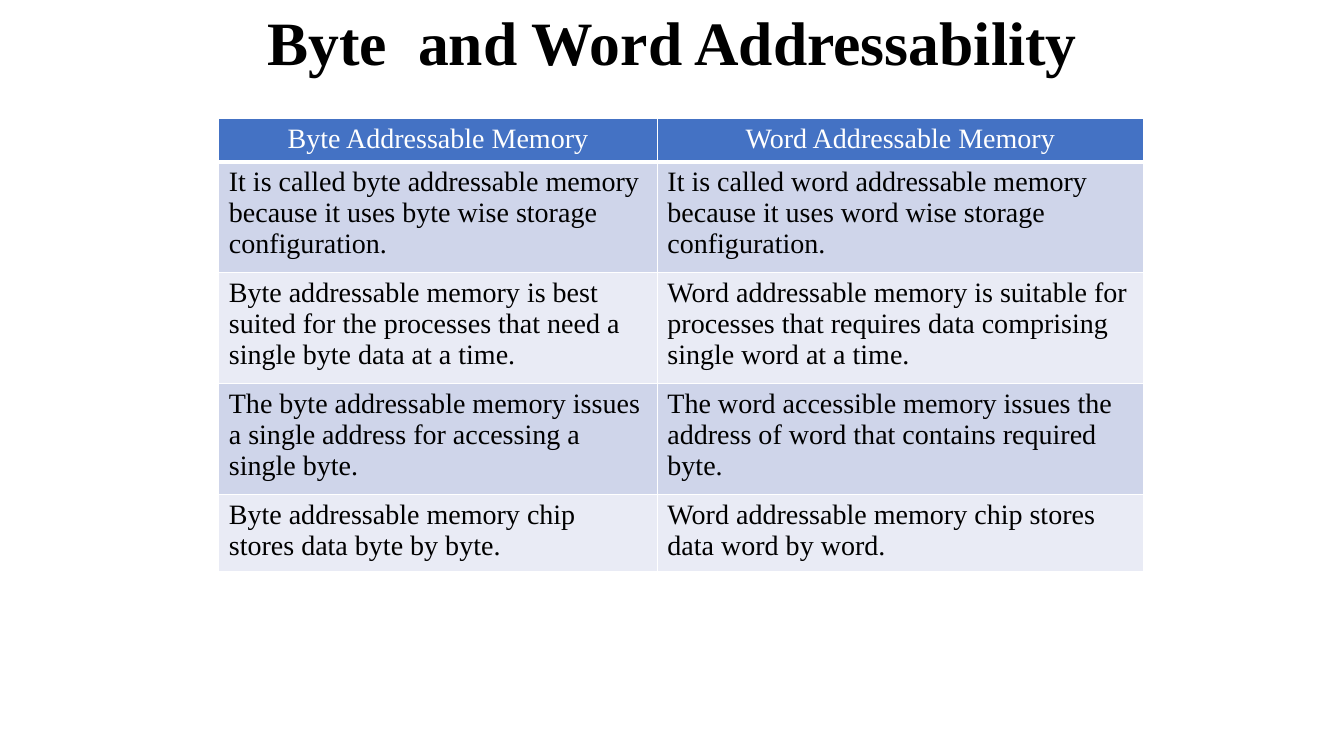
from lxml import etree
from pptx import Presentation, util as u
from pptx.dml.color import RGBColor
from pptx.enum import text
from pptx.oxml.ns import qn

# Content
TITLE = "Byte  and Word Addressability"
ROWS = [
    ("Byte Addressable Memory", "Word Addressable Memory"),
    ("It is called byte addressable memory because it uses byte wise storage configuration.",
     "It is called word addressable memory because it uses word wise storage configuration."),
    ("Byte addressable memory is best suited for the processes that need a single byte data at a time.",
     "Word addressable memory is suitable for processes that requires data comprising single word at a time."),
    ("The byte addressable memory issues a single address for accessing a single byte.",
     "The word accessible memory issues the address of word that contains required byte."),
    ("Byte addressable memory chip stores data byte by byte.",
     "Word addressable memory chip stores data word by word."),
]
WIDTHS = [4.35, 4.82]
HEIGHTS = [0.4, 1.02, 1.02, 1.02, 0.71]
COLORS = {"ink": "000000", "white": "FFFFFF", "head": "4472C4",
          "dark": "CFD5EA", "light": "E9EBF5"}
FONT = "Times New Roman"


def style(para, size, color, bold=False):
    for run in para.runs:
        font = run.font
        font.name, font.size, font.bold = FONT, u.Pt(size), bold
        font.color.rgb = RGBColor.from_string(COLORS[color])


def border(cell, side, points):
    line = etree.SubElement(cell._tc.get_or_add_tcPr(), qn("a:ln" + side),
                            w=str(u.Pt(points)))
    fill = etree.SubElement(line, qn("a:solidFill"))
    etree.SubElement(fill, qn("a:srgbClr"), val=COLORS["white"])


deck = Presentation()
deck.slide_width, deck.slide_height = u.Inches(13.33), u.Inches(7.5)
slide = deck.slides.add_slide(deck.slide_layouts[6])

# Title
box = slide.shapes.add_textbox(u.Inches(2.42), u.Inches(-0.17), u.Inches(8.5), u.Inches(1.25))
frame = box.text_frame
frame.word_wrap = True
frame.vertical_anchor = text.MSO_ANCHOR.MIDDLE
frame.text = TITLE
para = frame.paragraphs[0]
para.alignment = text.PP_ALIGN.CENTER
para.line_spacing = 0.9
style(para, 44, "ink", True)

# Comparison table
table = slide.shapes.add_table(
    len(ROWS), len(WIDTHS), u.Inches(2.17), u.Inches(1.17),
    u.Inches(sum(WIDTHS)), u.Inches(sum(HEIGHTS))).table
for col, width in zip(table.columns, WIDTHS):
    col.width = u.Inches(width)
for row, height in zip(table.rows, HEIGHTS):
    row.height = u.Inches(height)

for r, words in enumerate(ROWS):
    head = r == 0
    shade = "head" if head else "dark" if r % 2 else "light"
    for c, word in enumerate(words):
        cell = table.cell(r, c)
        for side in "LRTB":
            border(cell, side, 3 if head and side == "B" else 1)
        cell.fill.solid()
        cell.fill.fore_color.rgb = RGBColor.from_string(COLORS[shade])
        cell.text_frame.text = word
        para = cell.text_frame.paragraphs[0]
        para.alignment = text.PP_ALIGN.CENTER if head else text.PP_ALIGN.LEFT
        style(para, 20, "white" if head else "ink")

deck.save("out.pptx")
